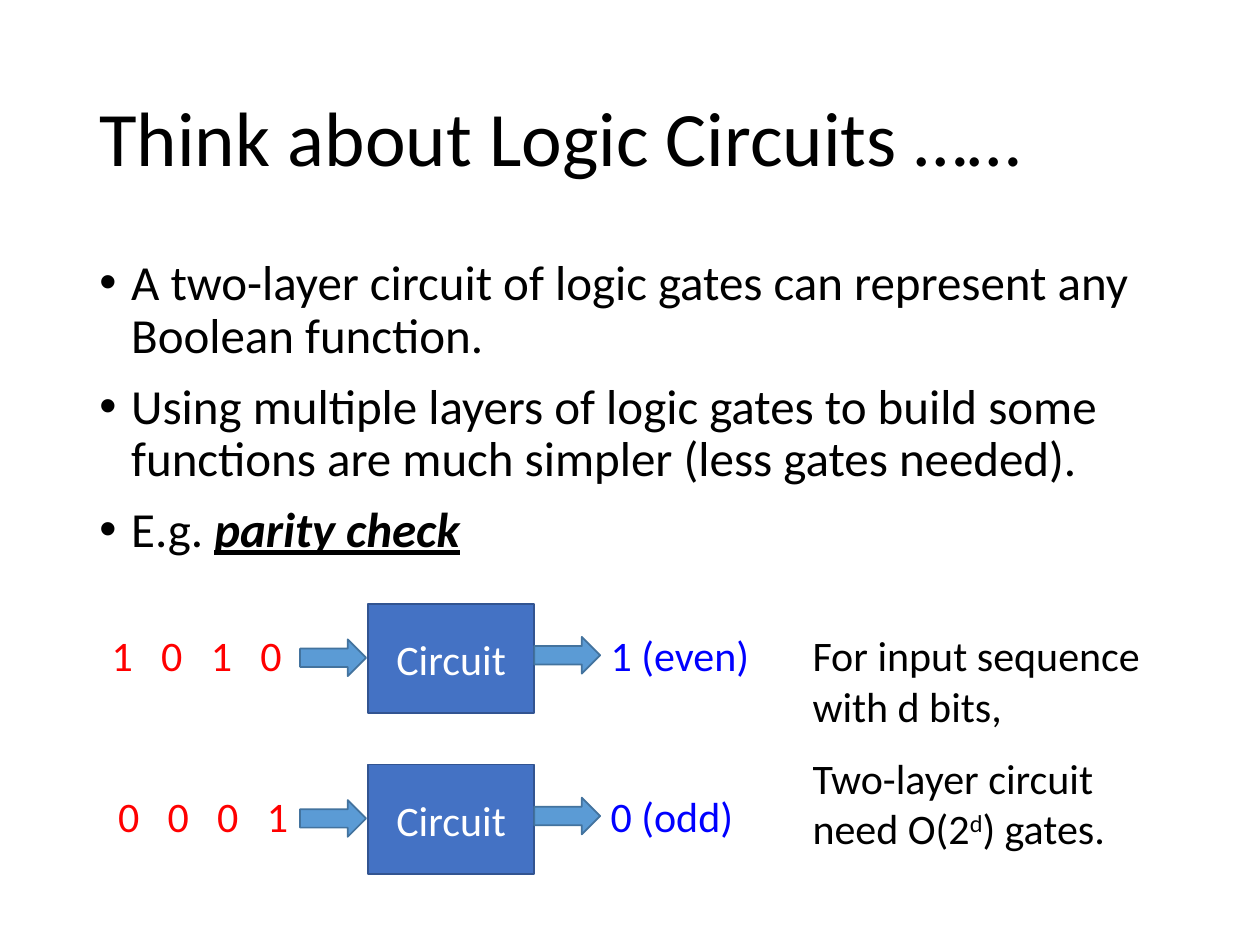
"""Build a slide on logic circuits with a two-row parity check diagram."""
from dataclasses import dataclass

import lxml.etree
import pptx
import pptx.dml.color
import pptx.enum.shapes
import pptx.enum.text
import pptx.oxml.ns
import pptx.util

Cm = pptx.util.Cm
Pt = pptx.util.Pt
Shapes = pptx.enum.shapes.MSO_SHAPE
Align = pptx.enum.text.PP_ALIGN
Anchor = pptx.enum.text.MSO_ANCHOR
AutoSize = pptx.enum.text.MSO_AUTO_SIZE

COLORS = {
    "text": "000000",
    "light": "FFFFFF",
    "input": "FF0000",
    "output": "0000FF",
    "circuit": "4472C4",
    "circuit_line": "325491",
    "arrow": "5B9BD5",
    "arrow_line": "43739E",
}
FONT = "Calibri"
BIT_PITCH = 1.0


@dataclass(frozen=True)
class Frame:
    """Position and size in centimetres."""

    left: float
    top: float
    width: float
    height: float


@dataclass(frozen=True)
class Piece:
    """A stretch of text in one format."""

    text: str
    strong: bool = False
    raised: bool = False


@dataclass(frozen=True)
class ParityRow:
    """One worked example: bits in, verdict out."""

    top: float
    bits_left: float
    bits: str
    verdict: str


BULLETS = [
    [Piece("A two-layer circuit of logic gates can represent any Boolean function.")],
    [Piece("Using multiple layers of logic gates to build some functions are much "
           "simpler (less gates needed).")],
    [Piece("E.g. "), Piece("parity check", strong=True)],
]
ROWS = [
    ParityRow(12.17, 2.0, "1010", "1 (even)"),
    ParityRow(15.41, 2.13, "0001", "0 (odd)"),
]
NOTES = [
    (12.57, [Piece("For input sequence with d bits,")]),
    (15.04, [Piece("Two-layer circuit need O(2"), Piece("d", raised=True), Piece(") gates.")]),
]


def rgb(name: str) -> pptx.dml.color.RGBColor:
    """Look up a named colour."""
    return pptx.dml.color.RGBColor.from_string(COLORS[name])


def place(shape, frame: Frame) -> None:
    """Move and size a shape."""
    shape.left, shape.top = Cm(frame.left), Cm(frame.top)
    shape.width, shape.height = Cm(frame.width), Cm(frame.height)


def write(para, pieces: list[Piece], size: float, color: str) -> None:
    """Add the pieces to a paragraph run by run."""
    for piece in pieces:
        span = para.add_run()
        span.text = piece.text
        span.font.name = FONT
        span.font.size = Pt(size)
        span.font.color.rgb = rgb(color)
        if piece.strong:
            span.font.bold = span.font.italic = span.font.underline = True
        if piece.raised:
            span._r.get_or_add_rPr().set("baseline", "30000")


def add_bullet(para) -> None:
    """Give a paragraph a round bullet with a hanging indent."""
    properties = para._p.get_or_add_pPr()
    properties.set("marL", str(Cm(0.64)))
    properties.set("indent", str(Cm(-0.64)))
    for tag, key, value in (("a:buFont", "typeface", "Arial"), ("a:buChar", "char", "•")):
        lxml.etree.SubElement(properties, pptx.oxml.ns.qn(tag)).set(key, value)


def add_tabs(para, count: int) -> None:
    """Set evenly spaced tab stops."""
    stops = lxml.etree.SubElement(para._p.get_or_add_pPr(), pptx.oxml.ns.qn("a:tabLst"))
    for number in range(1, count + 1):
        stop = lxml.etree.SubElement(stops, pptx.oxml.ns.qn("a:tab"))
        stop.set("pos", str(Cm(BIT_PITCH * number)))
        stop.set("algn", "l")


def add_label(page, frame: Frame, pieces: list[Piece], color: str, tabs: int = 0) -> None:
    """Add a text box, with tab stops if asked."""
    box = page.shapes.add_textbox(0, 0, 0, 0)
    place(box, frame)
    box.text_frame.word_wrap = True
    box.text_frame.auto_size = AutoSize.SHAPE_TO_FIT_TEXT
    para = box.text_frame.paragraphs[0]
    if tabs:
        add_tabs(para, tabs)
    write(para, pieces, 24, color)


def add_block(page, kind, frame: Frame, color: str):
    """Add a filled, outlined shape without a shadow."""
    block = page.shapes.add_shape(kind, 0, 0, 0, 0)
    place(block, frame)
    block.shadow.inherit = False
    block.fill.solid()
    block.fill.fore_color.rgb = rgb(color)
    block.line.color.rgb = rgb(color + "_line")
    block.line.width = Pt(1)
    return block


def add_parity_row(page, row: ParityRow) -> None:
    """Draw the bits, the circuit, the verdict and the arrows between them."""
    circuit = add_block(page, Shapes.RECTANGLE, Frame(7.42, row.top, 3.35, 2.21), "circuit")
    circuit.text_frame.vertical_anchor = Anchor.MIDDLE
    para = circuit.text_frame.paragraphs[0]
    para.alignment = Align.CENTER
    write(para, [Piece("Circuit")], 24, "light")
    label_top = row.top + 0.4
    add_label(page, Frame(row.bits_left, label_top, 4.35, 1.27),
              [Piece("\t".join(row.bits))], "input", len(row.bits) - 1)
    add_label(page, Frame(12.06, label_top, 3.53, 1.27), [Piece(row.verdict)], "output")
    for left, drop in ((6.05, 0.72), (10.77, 0.67)):
        add_block(page, Shapes.RIGHT_ARROW, Frame(left, row.top + drop, 1.33, 0.74), "arrow")


def fill_title(title) -> None:
    """Write the slide title."""
    place(title, Frame(1.75, 1.02, 21.9, 3.68))
    title.text_frame.vertical_anchor = Anchor.MIDDLE
    title.text_frame.auto_size = AutoSize.NONE
    para = title.text_frame.paragraphs[0]
    para.alignment = Align.LEFT
    para.line_spacing = 0.9
    write(para, [Piece("Think about Logic Circuits ……")], 44, "text")


def fill_body(body) -> None:
    """Write the bulleted list."""
    place(body, Frame(1.75, 5.08, 21.9, 12.09))
    body.text_frame.auto_size = AutoSize.NONE
    for number, pieces in enumerate(BULLETS):
        para = body.text_frame.add_paragraph() if number else body.text_frame.paragraphs[0]
        add_bullet(para)
        para.line_spacing = 0.9
        para.space_before = Pt(10 if number else 0)
        write(para, pieces, 28, "text")


def main() -> None:
    """Build and save the deck."""
    deck = pptx.Presentation()
    deck.slide_width, deck.slide_height = Cm(25.4), Cm(19.05)
    page = deck.slides.add_slide(deck.slide_layouts[1])
    fill_title(page.shapes.title)
    fill_body(page.placeholders[1])
    for row in ROWS:
        add_parity_row(page, row)
    for top, pieces in NOTES:
        add_label(page, Frame(16.13, top, 7.52, 2.31), pieces, "text")
    deck.save("out.pptx")


if __name__ == "__main__":
    main()
